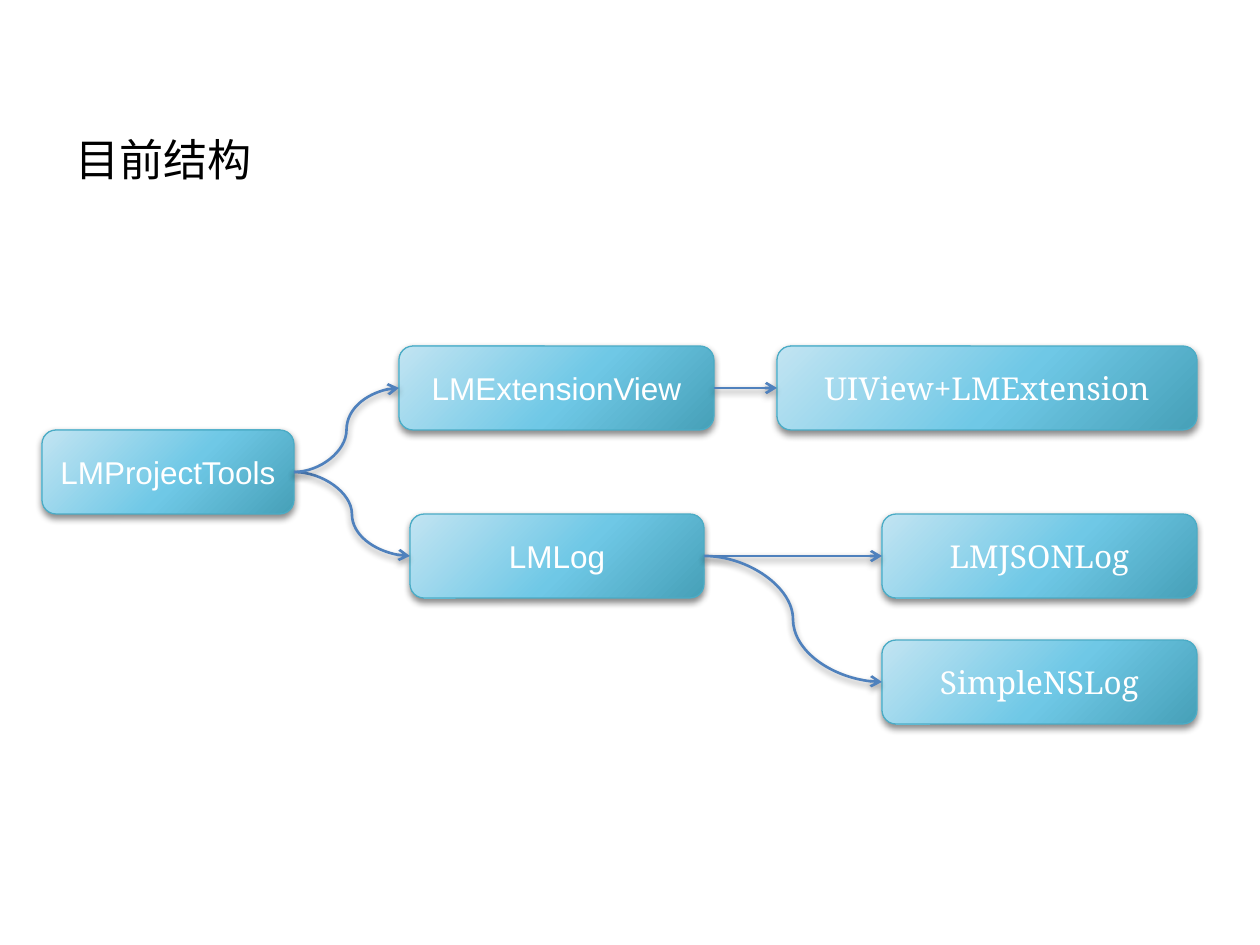
import pptx
import pptx.util
import pptx.dml.color
import pptx.enum.shapes
import pptx.enum.text
import pptx.oxml
import pptx.oxml.ns

RGB = pptx.dml.color.RGBColor
BLACK = RGB(0x00, 0x00, 0x00)
WHITE = RGB(0xFF, 0xFF, 0xFF)
BORDER = RGB(0x4B, 0xAC, 0xC6)
ARROW = RGB(0x4F, 0x81, 0xBD)
LIGHT = RGB(0xC2, 0xE4, 0xF2)
MIDDLE = RGB(0x6F, 0xC8, 0xE6)
DARK = RGB(0x46, 0xA0, 0xB8)

STRAIGHT = pptx.enum.shapes.MSO_CONNECTOR.STRAIGHT
CURVE = pptx.enum.shapes.MSO_CONNECTOR.CURVE
LEFT_SITE, RIGHT_SITE = 1, 3
SANS, SERIF = "Arial", "Noto Serif"
NS = pptx.oxml.ns.nsdecls("a")


def px(n):
    """Turn pixels into EMU."""
    return pptx.util.Emu(round(n * 914400 / 126))


def add_xml(parent, xml):
    """Append an element, given as text, to its parent."""
    parent.append(pptx.oxml.parse_xml(xml))


class Diagram:
    """Style and current slide of a box-and-arrow diagram."""

    box_height = 84
    text_size = pptx.util.Pt(18)

    def __init__(self, prs):
        """Start a title-only slide."""
        self.s = prs.slides.add_slide(prs.slide_layouts[5])

    def title(self, text, x, y, w, h):
        """Fill and place the title."""
        sp = self.s.shapes.title
        sp.left, sp.top, sp.width, sp.height = map(px, (x, y, w, h))
        tf = sp.text_frame
        tf.text = text
        tf.vertical_anchor = pptx.enum.text.MSO_ANCHOR.TOP
        p = tf.paragraphs[0]
        p.alignment = pptx.enum.text.PP_ALIGN.LEFT
        p.font.size = pptx.util.Pt(25.2)
        p.font.name = SANS
        p.font.color.rgb = BLACK

    def shadow(self, sp, alpha):
        """Give a shape or connector a soft shadow below."""
        add_xml(sp._element.spPr, f'<a:effectLst {NS}><a:outerShdw blurRad="50800" '
                f'dist="25400" dir="5400000" rotWithShape="0"><a:srgbClr val="{BLACK}">'
                f'<a:alpha val="{alpha * 1000}"/></a:srgbClr></a:outerShdw></a:effectLst>')

    def gradient(self, sp):
        """Fill a shape with the radial blue gradient."""
        stops = "".join(f'<a:gs pos="{pos * 1000}"><a:srgbClr val="{color}"/></a:gs>'
                        for pos, color in ((0, LIGHT), (55, MIDDLE), (100, DARK)))
        add_xml(sp._element.spPr, f'<a:gradFill {NS} rotWithShape="1"><a:gsLst>{stops}</a:gsLst>'
                '<a:path path="circle"><a:fillToRect l="-40000" t="-90000" '
                'r="140000" b="190000"/></a:path></a:gradFill>')

    def box(self, text, x, y, w, font=SANS):
        """Add a rounded box with centred text."""
        sp = self.s.shapes.add_shape(pptx.enum.shapes.MSO_SHAPE.ROUNDED_RECTANGLE,
                                     px(x), px(y), px(w), px(self.box_height))
        self.gradient(sp)
        sp.line.color.rgb = BORDER
        sp.line.width = pptx.util.Pt(0.75)
        self.shadow(sp, 45)
        tf = sp.text_frame
        tf.text = text
        tf.word_wrap = True
        tf.vertical_anchor = pptx.enum.text.MSO_ANCHOR.MIDDLE
        p = tf.paragraphs[0]
        p.alignment = pptx.enum.text.PP_ALIGN.CENTER
        p.font.size = self.text_size
        p.font.name = font
        p.font.color.rgb = WHITE
        return sp

    def arrow(self, source, target):
        """Join two boxes, straight when they share a row, else curved."""
        kind = STRAIGHT if source.top == target.top else CURVE
        cx = self.s.shapes.add_connector(kind, 0, 0, 0, 0)
        cx.begin_connect(source, RIGHT_SITE)
        cx.end_connect(target, LEFT_SITE)
        cx.line.color.rgb = ARROW
        cx.line.width = pptx.util.Pt(1.5)
        ln = cx._element.spPr.find(pptx.oxml.ns.qn("a:ln"))
        add_xml(ln, f'<a:tailEnd {NS} type="arrow"/>')
        self.shadow(cx, 40)


def main():
    """Build and save the slide."""
    prs = pptx.Presentation()
    prs.slide_width, prs.slide_height = px(1260), px(945)
    d = Diagram(prs)
    d.title("目前结构", 63, 126, 1134, 126)

    top, middle, low, bottom = 346, 430, 514, 640
    tools = d.box("LMProjectTools", 42, middle, 252)
    view = d.box("LMExtensionView", 399, top, 315)
    log = d.box("LMLog", 410, low, 294)
    extension = d.box("UIView+LMExtension", 777, top, 420, SERIF)
    simple = d.box("SimpleNSLog", 882, bottom, 315, SERIF)
    json_log = d.box("LMJSONLog", 882, low, 315, SERIF)

    for source, target in ((view, extension), (log, json_log), (tools, log),
                           (tools, view), (log, simple)):
        d.arrow(source, target)
    prs.save("out.pptx")


main()
